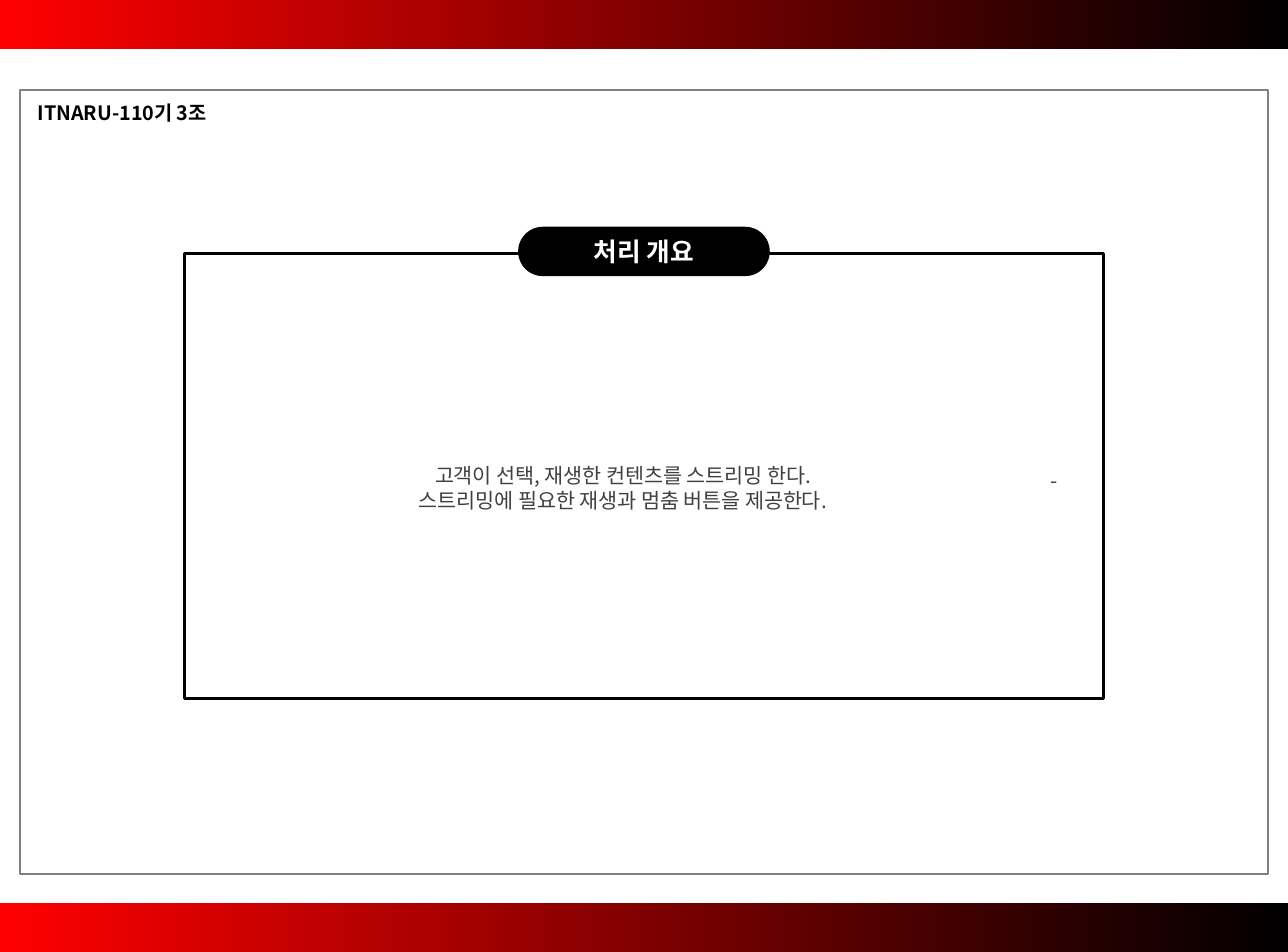
"""Build the process overview slide with its frames, title pill and description."""
from pptx import Presentation
from pptx.dml.color import RGBColor
from pptx.enum.shapes import MSO_SHAPE as Preset
from pptx.enum.text import MSO_ANCHOR as Anchor, PP_ALIGN as Align
from pptx.oxml.ns import qn
from pptx.util import Pt

FONT = "Noto Sans CJK KR"
BLACK = RGBColor(0x00, 0x00, 0x00)
WHITE = RGBColor(0xFF, 0xFF, 0xFF)
RED = RGBColor(0xFF, 0x00, 0x00)
GRAY = RGBColor(0x80, 0x80, 0x80)
DARK_GRAY = RGBColor(0x40, 0x40, 0x40)

TEAM = "ITNARU-110기 3조"
TITLE = "처리 개요"
DASH = "-"
DESCRIPTION = [
    "고객이 선택, 재생한 컨텐츠를 스트리밍 한다.",
    "스트리밍에 필요한 재생과 멈춤 버튼을 제공한다.",
]

SLIDE_WIDTH, SLIDE_HEIGHT = 651.97, 481.89
BAND_HEIGHT = 25
PAGE_FRAME = (10.1, 45.5, 632, 397)
OVERVIEW_FRAME = (93.4, 128.3, 465.2, 225.5)
TITLE_WIDTH, TITLE_HEIGHT = 127.4, 25
TITLE_BOX = ((SLIDE_WIDTH - TITLE_WIDTH) / 2, 114.8, TITLE_WIDTH, TITLE_HEIGHT)
DASH_BOX = (435.2, 233.3, 196.6, 19.4)
DESCRIPTION_BOX = (110.9, 230.7, 409, 44.6)
TEAM_BOX = (12.7, 47.8, 290.2, 18.7)


def add_shape(slide, preset, box):
    shape = slide.shapes.add_shape(preset, *map(Pt, box))
    shape.shadow.inherit = False
    return shape


def add_band(slide, top):
    band = add_shape(slide, Preset.RECTANGLE, (0, top, SLIDE_WIDTH, BAND_HEIGHT))
    band.line.fill.background()
    band.fill.gradient()
    band.fill.gradient_angle = 0
    for stop, color in zip(band.fill.gradient_stops, (RED, BLACK)):
        stop.color.rgb = color


def add_frame(slide, box, color, width):
    frame = add_shape(slide, Preset.RECTANGLE, box)
    frame.fill.background()
    frame.line.color.rgb = color
    frame.line.width = Pt(width)


def write(shape, lines, size, color, bold=False, align=Align.CENTER, margins=(7.2, 3.6)):
    text_frame = shape.text_frame
    text_frame.word_wrap = True
    text_frame.margin_left = text_frame.margin_right = Pt(margins[0])
    text_frame.margin_top = text_frame.margin_bottom = Pt(margins[1])
    text_frame.text = "\n".join(lines)
    for paragraph in text_frame.paragraphs:
        paragraph.alignment = align
        for run in paragraph.runs:
            font = run.font
            font.name, font.size, font.bold = FONT, Pt(size), bold
            font.color.rgb = color
            east_asian = run._r.get_or_add_rPr().makeelement(qn("a:ea"), {"typeface": FONT})
            run._r.rPr.find(qn("a:latin")).addnext(east_asian)


def add_text(slide, box, lines, size, color, **options):
    write(slide.shapes.add_textbox(*map(Pt, box)), lines, size, color, **options)


def add_title(slide):
    pill = add_shape(slide, Preset.ROUNDED_RECTANGLE, TITLE_BOX)
    pill.adjustments[0] = 0.5
    pill.fill.solid()
    pill.fill.fore_color.rgb = BLACK
    pill.line.fill.background()
    pill.text_frame.vertical_anchor = Anchor.MIDDLE
    write(pill, [TITLE], 13, WHITE, bold=True, margins=(6.5, 3))


def main():
    presentation = Presentation()
    presentation.slide_width, presentation.slide_height = Pt(SLIDE_WIDTH), Pt(SLIDE_HEIGHT)
    slide = presentation.slides.add_slide(presentation.slide_layouts[6])
    for top in (0, SLIDE_HEIGHT - BAND_HEIGHT):
        add_band(slide, top)
    add_frame(slide, OVERVIEW_FRAME, BLACK, 1.5)
    add_title(slide)
    add_text(slide, DASH_BOX, [DASH], 10.5, DARK_GRAY)
    add_text(slide, DESCRIPTION_BOX, DESCRIPTION, 10.5, DARK_GRAY)
    add_frame(slide, PAGE_FRAME, GRAY, 1)
    add_text(slide, TEAM_BOX, [TEAM], 10, BLACK, bold=True, align=Align.LEFT, margins=(6.5, 3))
    presentation.save("out.pptx")


if __name__ == "__main__":
    main()
